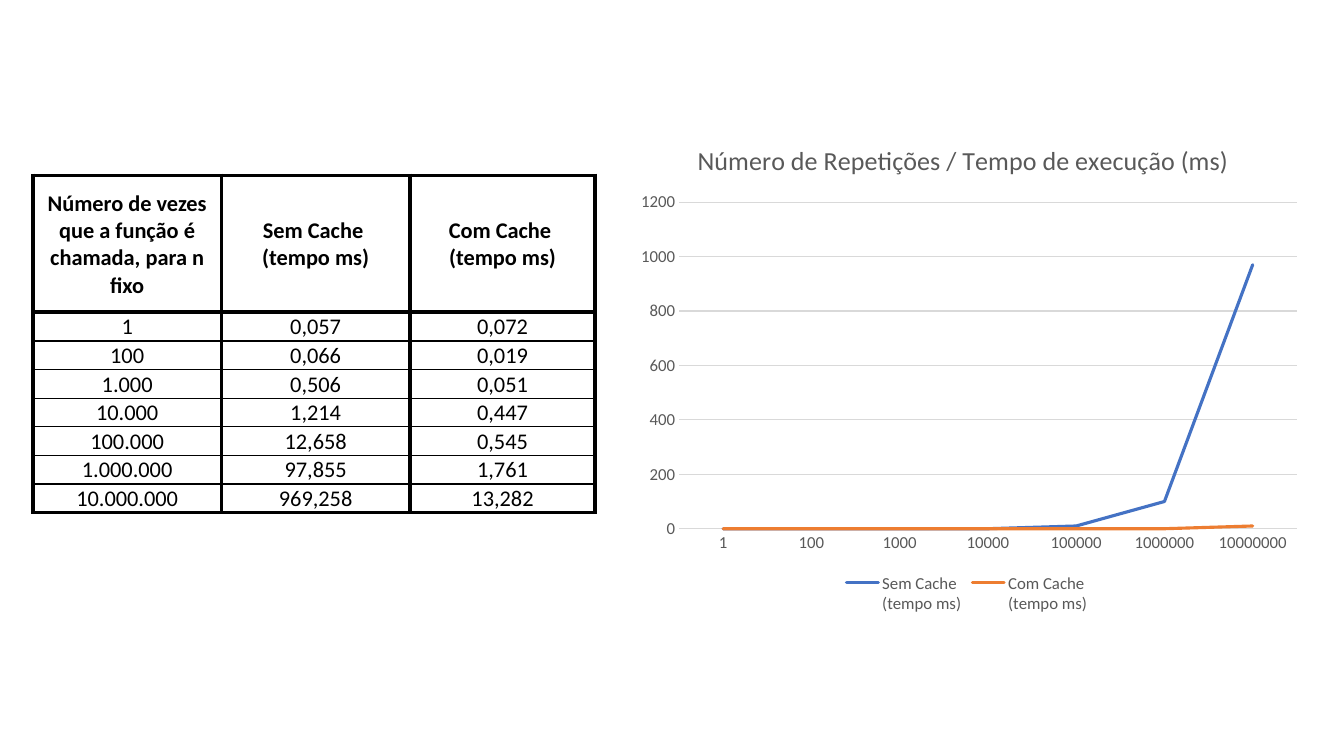
from lxml import etree
from pptx import Presentation
from pptx.chart.data import CategoryChartData
from pptx.dml.color import RGBColor
from pptx.enum.chart import XL_CHART_TYPE, XL_LEGEND_POSITION, XL_TICK_MARK
from pptx.enum.text import MSO_ANCHOR, PP_ALIGN
from pptx.oxml import parse_xml
from pptx.oxml.ns import nsdecls, qn
from pptx.util import Cm, Pt

LINE_CHART = XL_CHART_TYPE.LINE
LEGEND_BOTTOM = XL_LEGEND_POSITION.BOTTOM
NO_TICK = XL_TICK_MARK.NONE
CENTER = PP_ALIGN.CENTER
MIDDLE = MSO_ANCHOR.MIDDLE

FONT = "Calibri"
BLACK, GRAY, LIGHT_GRAY = "000000", "595959", "D9D9D9"
SERIES_COLORS = ["4472C4", "ED7D31"]
THICK, THIN = 3, 1

CHART_TITLE = "Número de Repetições / Tempo de execução (ms)"
HEADERS = ["Número de vezes que a função é chamada, para n fixo",
           "Sem Cache \n(tempo ms)", "Com Cache \n(tempo ms)"]
TIMES = [
    ["1", "0,057", "0,072"],
    ["100", "0,066", "0,019"],
    ["1.000", "0,506", "0,051"],
    ["10.000", "1,214", "0,447"],
    ["100.000", "12,658", "0,545"],
    ["1.000.000", "97,855", "1,761"],
    ["10.000.000", "969,258", "13,282"],
]
COLUMN_WIDTHS = [4.75, 4.75, 4.67]
HEADER_HEIGHT, ROW_HEIGHT = 3.45, 0.72


def color(hex_value):
    return RGBColor.from_string(hex_value)


def set_format(target, values):
    for name, value in values.items():
        setattr(target, name, value)


def set_font(font, size, hex_value, bold=False):
    set_format(font, {"name": FONT, "size": Pt(size), "bold": bold})
    font.color.rgb = color(hex_value)


def set_line(line, hex_value, width):
    line.color.rgb = color(hex_value)
    line.width = Pt(width)


# Table
def add_borders(cell, top, bottom):
    properties = cell._tc.get_or_add_tcPr()
    widths = {"lnL": THICK, "lnR": THICK, "lnT": top, "lnB": bottom}
    for tag, width in widths.items():
        border = etree.SubElement(properties, qn(f"a:{tag}"), w=str(Pt(width)))
        fill = etree.SubElement(border, qn("a:solidFill"))
        etree.SubElement(fill, qn("a:srgbClr"), val=BLACK)


def fill_cell(cell, text, bold, top, bottom):
    set_format(cell, {"margin_left": Cm(0.03), "margin_right": Cm(0.03),
                      "margin_top": Cm(0.03), "margin_bottom": 0,
                      "vertical_anchor": MIDDLE})
    paragraph = cell.text_frame.paragraphs[0]
    set_format(paragraph, {"text": text, "alignment": CENTER})
    for run in paragraph.runs:
        set_font(run.font, 16, BLACK, bold)
    add_borders(cell, top, bottom)
    cell.fill.background()


def add_times_table(slide):
    rows = [HEADERS] + TIMES
    heights = [HEADER_HEIGHT] + [ROW_HEIGHT] * len(TIMES)
    table = slide.shapes.add_table(
        len(rows), len(HEADERS), Cm(0.83), Cm(4.42),
        Cm(sum(COLUMN_WIDTHS)), Cm(sum(heights))).table
    set_format(table, {"first_row": False, "horz_banding": False})
    for column, width in zip(table.columns, COLUMN_WIDTHS):
        column.width = Cm(width)
    last = len(rows) - 1
    for index, (texts, height) in enumerate(zip(rows, heights)):
        table.rows[index].height = Cm(height)
        top = THICK if index <= 1 else THIN
        bottom = THICK if index in (0, last) else THIN
        for column, text in enumerate(texts):
            fill_cell(table.cell(index, column), text, index == 0, top, bottom)


# Chart
def set_layout(element, position, target="", **fractions):
    for old_layout in element.findall(qn("c:layout")):
        element.remove(old_layout)
    modes = "".join(f'<c:{axis}Mode val="edge"/>' for axis in "xy")
    values = "".join(f'<c:{key} val="{value}"/>' for key, value in fractions.items())
    element.insert(position, parse_xml(
        f'<c:layout {nsdecls("c")}><c:manualLayout>{target}{modes}{values}'
        '</c:manualLayout></c:layout>'))


def style_axis(axis):
    set_format(axis, {"major_tick_mark": NO_TICK, "minor_tick_mark": NO_TICK})
    set_font(axis.tick_labels.font, 12, GRAY)


def rounded_to_tens(text):
    return int(round(float(text.replace(",", ".")), -1))


def times_chart_data():
    data = CategoryChartData()
    data.categories = [row[0].replace(".", "") for row in TIMES]
    for column in (1, 2):
        data.add_series(HEADERS[column],
                        [rounded_to_tens(row[column]) for row in TIMES])
    return data


def add_times_chart(slide):
    chart = slide.shapes.add_chart(
        LINE_CHART, Cm(15.73), Cm(3.1), Cm(17.3), Cm(12.47),
        times_chart_data()).chart
    set_font(chart.font, 10, BLACK)

    # Title
    paragraph = chart.chart_title.text_frame.paragraphs[0]
    paragraph.text = CHART_TITLE
    set_font(paragraph.runs[0].font, 18.6, GRAY)
    set_layout(chart.chart_title._element, 1, x=0.1, y=0.03)

    # Legend
    chart.has_legend = True
    set_format(chart.legend, {"position": LEGEND_BOTTOM, "include_in_layout": False})
    set_font(chart.legend.font, 12, GRAY)

    # Axes
    for axis in (chart.category_axis, chart.value_axis):
        style_axis(axis)
    set_line(chart.category_axis.format.line, LIGHT_GRAY, 0.75)
    set_format(chart.value_axis, {"minimum_scale": 0, "maximum_scale": 1200,
                                  "major_unit": 200, "has_major_gridlines": True})
    chart.value_axis.format.line.fill.background()
    set_line(chart.value_axis.major_gridlines.format.line, LIGHT_GRAY, 0.75)

    # Plot and series with rounded line ends
    plot = chart.plots[0]
    plot.vary_by_categories = False
    for series, hex_value in zip(plot.series, SERIES_COLORS):
        series.smooth = False
        set_line(series.format.line, hex_value, 2.25)
        series._element.spPr.find(qn("a:ln")).set("cap", "rnd")
    set_layout(chart._chartSpace.chart.plotArea, 0,
               '<c:layoutTarget val="inner"/>', x=0.08, y=0.16, w=0.9, h=0.66)


def main():
    presentation = Presentation()
    set_format(presentation, {"slide_width": Cm(33.87), "slide_height": Cm(19.05)})
    slide = presentation.slides.add_slide(presentation.slide_layouts[6])
    add_times_chart(slide)
    add_times_table(slide)
    presentation.save("out.pptx")


if __name__ == "__main__":
    main()
